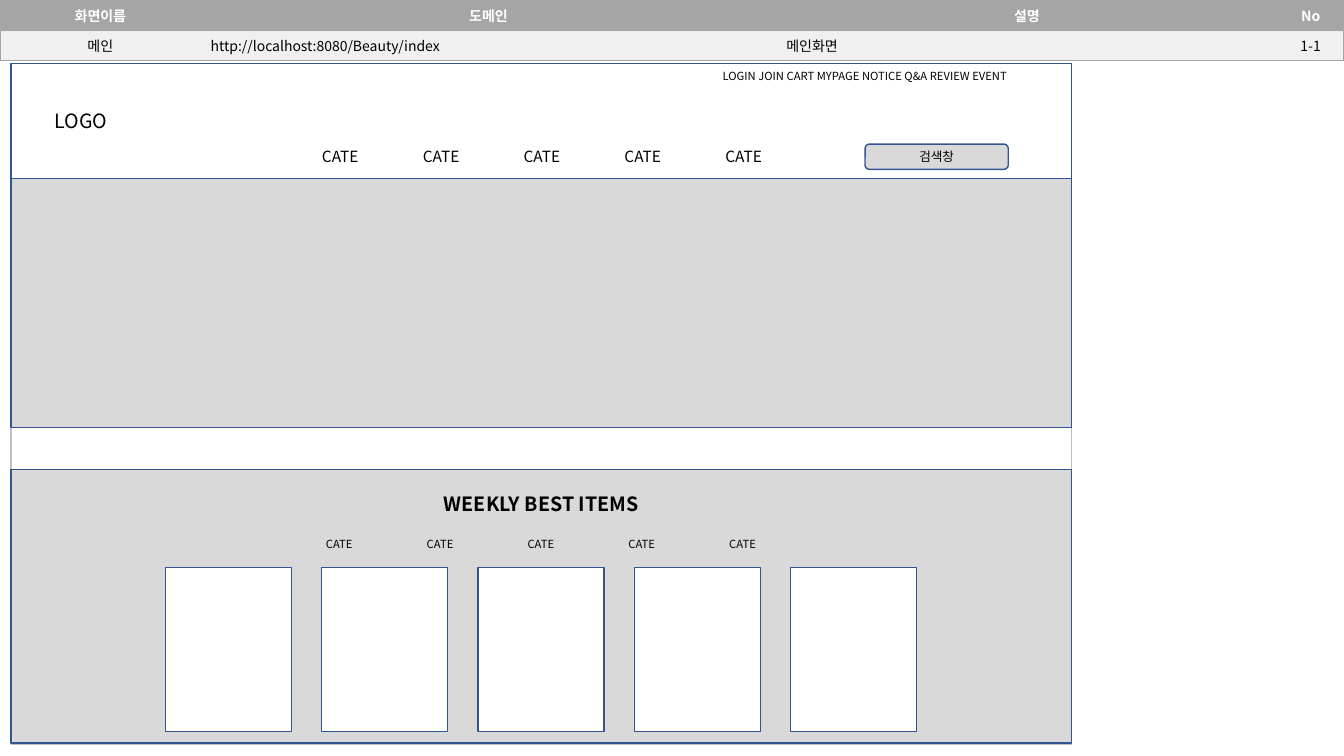
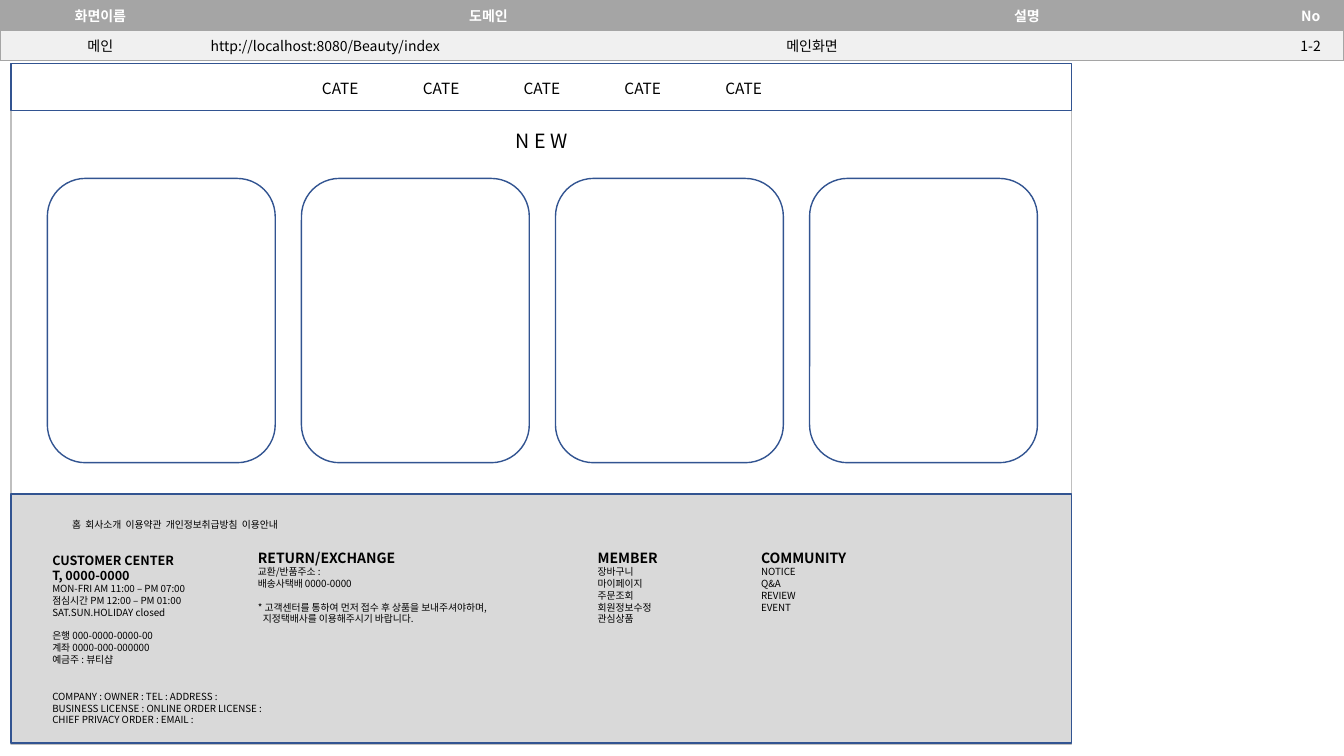
import pptx
import pptx.dml.color
import pptx.enum.shapes
import pptx.enum.text
import pptx.oxml
import pptx.oxml.ns
import pptx.util
import lxml.etree

Inches, Pt = pptx.util.Inches, pptx.util.Pt
RGBColor = pptx.dml.color.RGBColor
SHAPE = pptx.enum.shapes.MSO_SHAPE
MIDDLE = pptx.enum.text.MSO_ANCHOR.MIDDLE
TOP = pptx.enum.text.MSO_ANCHOR.TOP
CENTER = pptx.enum.text.PP_ALIGN.CENTER
LEFT = pptx.enum.text.PP_ALIGN.LEFT
qn = pptx.oxml.ns.qn

FONT = "Noto Sans CJK KR"
BLACK = RGBColor(0x00, 0x00, 0x00)
WHITE = RGBColor(0xFF, 0xFF, 0xFF)
BLUE = RGBColor(0x32, 0x54, 0x91)
PANEL = RGBColor(0xD9, 0xD9, 0xD9)
FRAME = RGBColor(0xBF, 0xBF, 0xBF)
HEAD = RGBColor(0xA5, 0xA5, 0xA5)
ROW = RGBColor(0xF0, 0xF0, 0xF0)

PAGE_X, PAGE_Y, PAGE_W, PAGE_H = 0.11, 0.63, 10.52, 6.75
NO_STYLE = "{2D5ABB26-0587-4C30-8999-92F81FD0307C}"
CATES = "\t".join(["CATE"] * 5)


def write(tf, lines, align=CENTER, anchor=MIDDLE, color=BLACK):
    """Fill a text frame with (text, size, bold, space before) lines."""
    tf.word_wrap = True
    tf.vertical_anchor = anchor
    for i, (text, size, bold, before) in enumerate(lines):
        p = tf.add_paragraph() if i else tf.paragraphs[0]
        p.alignment = align
        p.space_before = Pt(before)
        if "\t" in text:
            tabs = lxml.etree.SubElement(p._p.get_or_add_pPr(), qn("a:tabLst"))
            for stop in range(1, text.count("\t") + 1):
                tab = lxml.etree.SubElement(tabs, qn("a:tab"))
                tab.set("pos", str(int(Inches(stop))))
                tab.set("algn", "l")
        r = p.add_run()
        r.text = text
        r.font.name, r.font.size, r.font.bold = FONT, Pt(size), bold
        r.font.color.rgb = color
        ea = lxml.etree.SubElement(r._r.get_or_add_rPr(), qn("a:ea"))
        ea.set("typeface", FONT)


def box(s, x, y, w, h, line=BLUE, fill=None, kind=SHAPE.RECTANGLE):
    """Draw an outlined shape, empty or filled."""
    sp = s.shapes.add_shape(kind, Inches(x), Inches(y), Inches(w), Inches(h))
    sp.shadow.inherit = False
    sp.line.color.rgb = line
    sp.line.width = Pt(1)
    if fill is None:
        sp.fill.background()
    else:
        sp.fill.solid()
        sp.fill.fore_color.rgb = fill
    return sp


prs = pptx.Presentation()
prs.slide_width, prs.slide_height = Inches(13.33), Inches(7.5)

# Number, menu height, category top, panels (top, height), title, title top, bold
screens = [
    ("1-1", 1.14, 1.43, [(1.77, 2.47), (4.66, 2.71)], "WEEKLY BEST ITEMS", 4.78, True),
    ("1-2", 0.47, 0.75, [(4.9, 2.47)], "N E W", 1.18, False),
]
for no, menu_h, cate_y, panels, title, title_y, bold in screens:
    s = prs.slides.add_slide(prs.slide_layouts[5])

    # Table with the screen details
    rows = [("화면이름", "도메인", "설명", "No"),
            ("메인", "http://localhost:8080/Beauty/index", "메인화면", no)]
    table = s.shapes.add_table(2, 4, 0, 0, Inches(13.33), Inches(0.54)).table
    table.first_row = table.horz_banding = False
    table._tbl.tblPr.find(qn("a:tableStyleId")).text = NO_STYLE
    for col, width in zip(table.columns, (1.99, 5.71, 4.97, 0.66)):
        col.width = Inches(width)
    for i, row in enumerate(rows):
        for j, text in enumerate(row):
            cell = table.cell(i, j)
            cell.fill.solid()
            cell.fill.fore_color.rgb = ROW if i else HEAD
            write(cell.text_frame, [(text, 10, i == 0, 0)],
                  LEFT if i and j in (1, 2) else CENTER, TOP, BLACK if i else WHITE)
            sides = ["L"] * (j == 0) + ["R"] * (j == 3) + ["T", "B"]
            for k, side in enumerate(sides):
                cell._tc.get_or_add_tcPr().insert(k, pptx.oxml.parse_xml(
                    f'<a:ln{side} xmlns:a="http://schemas.openxmlformats.org/drawingml/2006/main"'
                    f' w="12700"><a:solidFill><a:srgbClr val="{HEAD}"/></a:solidFill></a:ln{side}>'))

    # Page frame, menu and panels
    box(s, PAGE_X, PAGE_Y, PAGE_W, PAGE_H, FRAME)
    box(s, PAGE_X, PAGE_Y, PAGE_W, menu_h)
    for y, h in panels:
        box(s, PAGE_X, y, PAGE_W, h, fill=PANEL)
    tb = s.shapes.add_textbox(Inches(2.9), Inches(cate_y), Inches(4.95), Inches(0.25))
    write(tb.text_frame, [(CATES, 11, False, 0)])

    # Section title, brought in front of the panels
    sp = s.shapes.title
    sp.left, sp.top, sp.width, sp.height = Inches(4.01), Inches(title_y), Inches(2.72), Inches(0.43)
    sp.text_frame.auto_size = pptx.enum.text.MSO_AUTO_SIZE.NONE
    write(sp.text_frame, [(title, 14, bold, 0)])
    sp.element.getparent().append(sp.element)

main, lower = prs.slides

# Main screen: links, search field and weekly items
labels = [
    (6.53, 0.63, 4.1, 0.25, "LOGIN JOIN CART MYPAGE NOTICE Q&A REVIEW EVENT", 8),
    (0.11, 0.63, 1.39, 1.14, "LOGO", 14),
    (3, 5.31, 4.73, 0.17, CATES, 8),
]
for x, y, w, h, text, size in labels:
    tb = main.shapes.add_textbox(Inches(x), Inches(y), Inches(w), Inches(h))
    write(tb.text_frame, [(text, size, False, 0)])
search = box(main, 8.58, 1.43, 1.42, 0.25, fill=PANEL, kind=SHAPE.ROUNDED_RECTANGLE)
write(search.text_frame, [("검색창", 9, False, 0)])
for i in range(5):
    box(main, 1.64 + 1.55 * i, 5.63, 1.25, 1.63, fill=WHITE)

# Lower screen: new items and footer
for i in range(4):
    box(lower, 0.47 + 2.52 * i, 1.77, 2.26, 2.82, fill=WHITE, kind=SHAPE.ROUNDED_RECTANGLE)
tb = lower.shapes.add_textbox(Inches(0.11), Inches(5.04), Inches(3.25), Inches(0.33))
write(tb.text_frame, [("홈  회사소개  이용약관  개인정보취급방침  이용안내", 7, False, 0)])

# Left, top, width, height, anchor, heading size, headings, groups of lines
footer = [
    (0.42, 5.4, 2.35, 1.28, MIDDLE, 9, ["CUSTOMER CENTER", "T, 0000-0000"],
     [["MON-FRI AM 11:00 – PM 07:00", "점심시간 PM 12:00 – PM 01:00", "SAT.SUN.HOLIDAY closed"],
      ["은행 000-0000-0000-00", "계좌 0000-000-000000", "예금주 : 뷰티샵"]]),
    (5.83, 5.4, 1.11, 1.28, TOP, 10, ["MEMBER"],
     [["장바구니", "마이페이지", "주문조회", "회원정보수정", "관심상품"]]),
    (7.45, 5.4, 1.11, 1.28, TOP, 10, ["COMMUNITY"],
     [["NOTICE", "Q&A", "REVIEW", "EVENT"]]),
    (0.42, 6.73, 2.35, 0.59, MIDDLE, 7, [],
     [["COMPANY : OWNER : TEL : ADDRESS :", "BUSINESS LICENSE : ONLINE ORDER LICENSE :",
       "CHIEF PRIVACY ORDER : EMAIL :"]]),
    (2.46, 5.4, 2.92, 1.28, TOP, 10, ["RETURN/EXCHANGE"],
     [["교환/반품주소 : ", "배송사택배 0000-0000"],
      ["* 고객센터를 통하여 먼저 접수 후 상품을 보내주셔야하며,",
       "지정택배사를 이용해주시기 바랍니다."]]),
]
for x, y, w, h, anchor, size, headings, groups in footer:
    lines = [(text, size, True, 0) for text in headings]
    for g, group in enumerate(groups):
        lines += [(text, 7, False, 8.4 if g and not i else 0) for i, text in enumerate(group)]
    tb = lower.shapes.add_textbox(Inches(x), Inches(y), Inches(w), Inches(h))
    write(tb.text_frame, lines, LEFT, anchor)

# The last line of the return note lines up after its asterisk
note = tb.text_frame.paragraphs[-1]
note._p.get_or_add_pPr().set("marL", str(int(Inches(0.05))))

prs.save("out.pptx")
